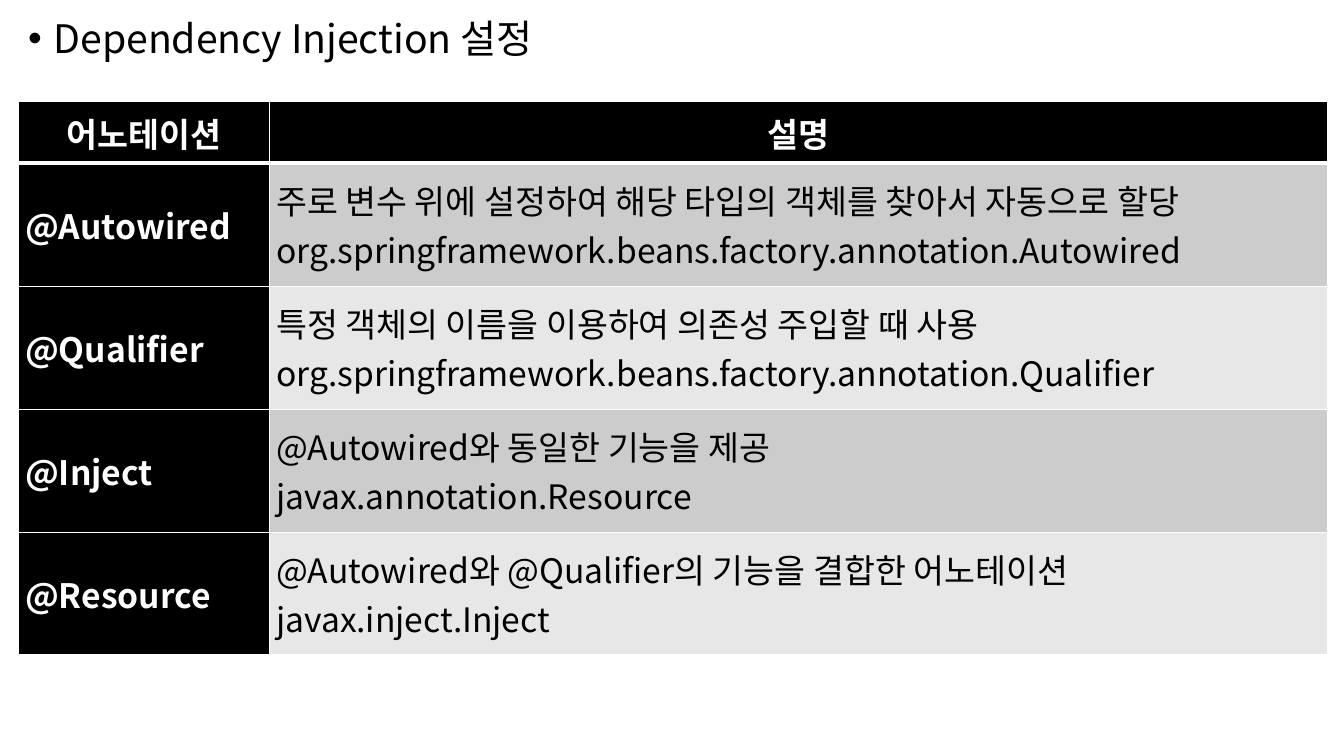
from dataclasses import dataclass

from lxml.etree import SubElement
from pptx import Presentation
from pptx.dml.color import RGBColor as Rgb
from pptx.enum.text import MSO_ANCHOR as Anchor, PP_ALIGN as Align
from pptx.oxml.ns import qn
from pptx.util import Inches, Pt

COLORS = {"ink": "000000", "paper": "FFFFFF", "dark": "CCCCCC", "light": "E7E7E7"}
FACE = "Noto Sans CJK KR"
WIDTHS = (2.49, 10.5)
HEAD, ROW = 0.61, 1.22


@dataclass
class Note:
    name: str
    lines: tuple[str, str]


HEADS = ("어노테이션", "설명")
NOTES = (
    Note("@Autowired", (
        "주로 변수 위에 설정하여 해당 타입의 객체를 찾아서 자동으로 할당",
        "org.springframework.beans.factory.annotation.Autowired")),
    Note("@Qualifier", (
        "특정 객체의 이름을 이용하여 의존성 주입할 때 사용",
        "org.springframework.beans.factory.annotation.Qualifier")),
    Note("@Inject", (
        "@Autowired와 동일한 기능을 제공",
        "javax.annotation.Resource")),
    Note("@Resource", (
        "@Autowired와 @Qualifier의 기능을 결합한 어노테이션",
        "javax.inject.Inject")),
)


def style(para, size: int, color: str, bold: bool = False) -> None:
    font = para.font
    font.name, font.size, font.bold = FACE, Pt(size), bold
    font.color.rgb = Rgb.from_string(COLORS[color])
    props = para._p.pPr.find(qn("a:defRPr"))
    SubElement(props, qn("a:ea"), typeface=FACE)


def edge(cell, side: str, width: float) -> None:
    line = SubElement(cell._tc.get_or_add_tcPr(), qn(f"a:{side}"), w=str(Pt(width)))
    fill = SubElement(line, qn("a:solidFill"))
    SubElement(fill, qn("a:srgbClr"), val=COLORS["paper"])


def put(cell, lines: tuple[str, ...], fill: str, top: bool, under: bool) -> None:
    cell.margin_left = cell.margin_right = Inches(0.07)
    cell.margin_top = cell.margin_bottom = 0
    cell.vertical_anchor = Anchor.MIDDLE
    cell.text = "\n".join(lines)
    bold = fill == "ink"
    for para in cell.text_frame.paragraphs:
        para.alignment = Align.CENTER if top else Align.LEFT
        style(para, 24, "paper" if bold else "ink", bold)
    for side in ("lnL", "lnR", "lnT", "lnB"):
        thick = (top and side == "lnB") or (under and side == "lnT")
        edge(cell, side, 3 if thick else 1)
    cell.fill.solid()
    cell.fill.fore_color.rgb = Rgb.from_string(COLORS[fill])


def add_topic(slide) -> None:
    title = slide.shapes.title._element
    title.getparent().remove(title)
    body = slide.placeholders[1]
    body.left, body.top = Inches(0.18), Inches(0.14)
    body.width, body.height = Inches(12.99), Inches(7.22)
    body.text_frame.text = "Dependency Injection 설정"
    para = body.text_frame.paragraphs[0]
    para.line_spacing, para.space_before = 0.9, Pt(10)
    style(para, 28, "ink")
    props = para._p.pPr
    props.set("marL", str(Inches(0.25)))
    props.set("indent", str(Inches(-0.25)))


def add_notes(slide) -> None:
    table = slide.shapes.add_table(
        len(NOTES) + 1, len(WIDTHS), Inches(0.18), Inches(1.01),
        Inches(sum(WIDTHS)), Inches(HEAD + ROW * len(NOTES))).table
    for col, width in zip(table.columns, WIDTHS):
        col.width = Inches(width)
    for at, row in enumerate(table.rows):
        row.height = Inches(ROW if at else HEAD)
    for at, head in enumerate(HEADS):
        put(table.cell(0, at), (head,), "ink", True, False)
    for at, note in enumerate(NOTES, 1):
        put(table.cell(at, 0), (note.name,), "ink", False, at == 1)
        put(table.cell(at, 1), note.lines, "dark" if at % 2 else "light", False, at == 1)


def main() -> None:
    deck = Presentation()
    deck.slide_width, deck.slide_height = Inches(13.33), Inches(7.5)
    slide = deck.slides.add_slide(deck.slide_layouts[1])
    add_topic(slide)
    add_notes(slide)
    deck.save("out.pptx")


if __name__ == "__main__":
    main()
